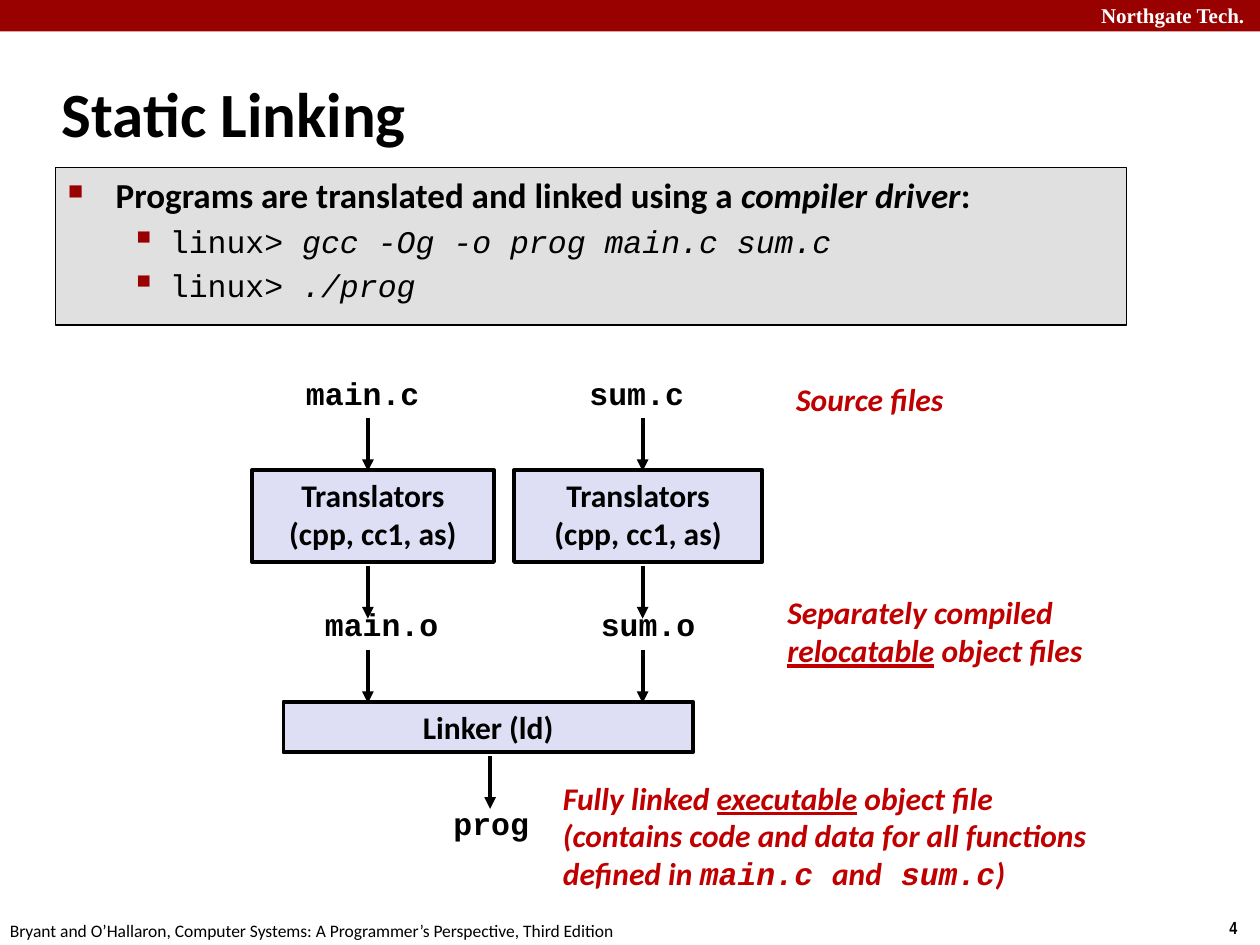
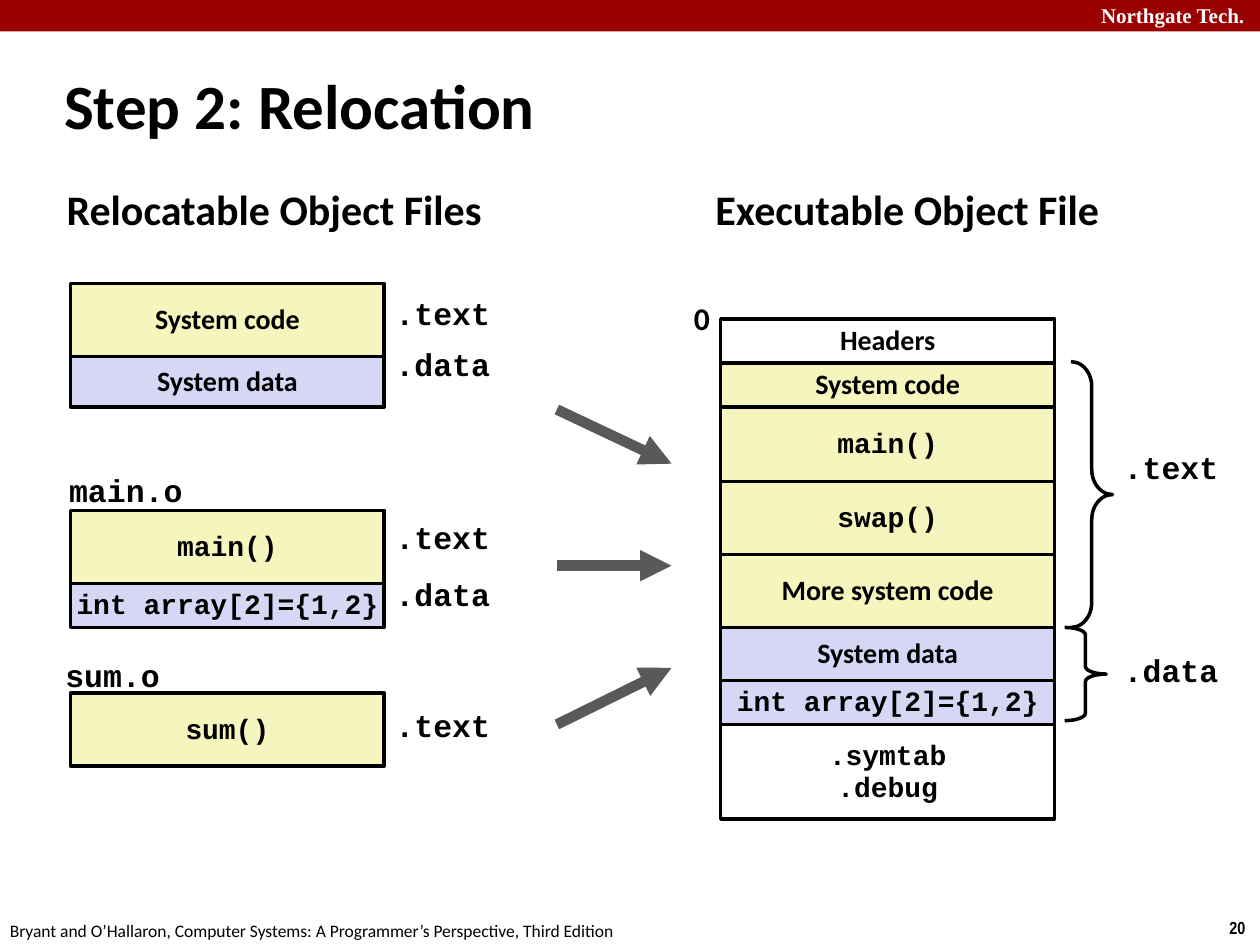
from dataclasses import dataclass, replace
from typing import NamedTuple

from lxml.etree import SubElement
from pptx import Presentation
from pptx.dml.color import RGBColor
from pptx.enum.shapes import MSO_CONNECTOR, MSO_SHAPE
from pptx.enum.text import MSO_ANCHOR, MSO_AUTO_SIZE, PP_ALIGN
from pptx.oxml.ns import qn
from pptx.util import Pt

PX = 9144


@dataclass(frozen=True)
class Theme:
    red: str = "990000"
    note: str = "C00000"
    black: str = "000000"
    white: str = "FFFFFF"
    gray: str = "E0E0E0"
    arrow: str = "595959"
    lilac: str = "DEDFF5"
    data: str = "D6D6F5"
    code: str = "F6F5BD"
    sans: str = "Calibri"
    mono: str = "Courier New"
    serif: str = "Times New Roman"
    narrow: str = "Arial Narrow"
    title: int = 36
    head: int = 24
    lead: int = 20
    label: int = 18
    cell: int = 16
    brand: int = 12
    foot: int = 10


T = Theme()


@dataclass(frozen=True)
class Look:
    font: str = T.sans
    size: int = T.label
    color: str = T.black
    bold: bool = True
    slant: bool = False
    under: bool = False
    space: float = 1.0


class Bit(NamedTuple):
    text: str
    look: Look


class Box(NamedTuple):
    x: int
    y: int
    w: int
    h: int


class Label(NamedTuple):
    text: str
    box: Box
    look: Look


class Row(NamedTuple):
    text: str
    h: int
    fill: str
    look: Look


class Stack(NamedTuple):
    x: int
    y: int
    w: int
    rows: tuple


class Arrow(NamedTuple):
    x: int
    y: int
    end: int
    low: int


class Brace(NamedTuple):
    box: Box
    bend: float


class Point(NamedTuple):
    bits: tuple
    left: int
    hang: int
    mark: str
    scale: int
    before: float


SANS = Look()
MONO = Look(font=T.mono)
NOTE = Look(color=T.note, slant=True)
LINK = replace(NOTE, under=True)
FILE = replace(NOTE, font=T.mono)
HEAD = Look(size=T.head, space=0.98)
NAME = replace(MONO, space=0.94)
CELL = Look(size=T.cell, space=0.98)
CODE = Look(font=T.mono, size=T.cell, space=0.94)
LEAD = Look(size=T.lead)
SHELL = replace(MONO, bold=False)
TYPED = replace(SHELL, slant=True)


def place(box: Box) -> list:
    return [n * PX for n in box]


def style(run, look: Look) -> None:
    font = run.font
    font.name, font.size = look.font, Pt(look.size)
    font.bold, font.italic, font.underline = look.bold, look.slant, look.under
    font.color.rgb = RGBColor.from_string(look.color)


def write(frame, text: str, look: Look, align=PP_ALIGN.LEFT) -> None:
    frame.text = text
    for para in frame.paragraphs:
        para.alignment = align
        para.line_spacing = look.space
        for run in para.runs:
            style(run, look)


def blend(para, bits: tuple) -> None:
    para.alignment = PP_ALIGN.LEFT
    for bit in bits:
        run = para.add_run()
        run.text = bit.text
        style(run, bit.look)


def paras(frame, count: int) -> list:
    return [frame.paragraphs[0]] + [frame.add_paragraph() for _ in range(count - 1)]


def blank(slide, box: Box):
    frame = slide.shapes.add_textbox(*place(box)).text_frame
    frame.word_wrap = False
    frame.auto_size = MSO_AUTO_SIZE.SHAPE_TO_FIT_TEXT
    return frame


def label(slide, item: Label) -> None:
    write(blank(slide, item.box), item.text, item.look)


def notes(slide, box: Box, lines: tuple) -> None:
    frame = blank(slide, box)
    for para, bits in zip(paras(frame, len(lines)), lines):
        blend(para, bits)


def panel(slide, box: Box, fill: str, width: float = 0):
    shape = slide.shapes.add_shape(MSO_SHAPE.RECTANGLE, *place(box))
    shape.shadow.inherit = False
    shape.fill.solid()
    shape.fill.fore_color.rgb = RGBColor.from_string(fill)
    if width:
        shape.line.color.rgb = RGBColor.from_string(T.black)
        shape.line.width = Pt(width)
    else:
        shape.line.fill.background()
    return shape


def step(slide, text: str, box: Box) -> None:
    frame = panel(slide, box, T.lilac, 2.25).text_frame
    frame.vertical_anchor = MSO_ANCHOR.TOP
    write(frame, text, SANS, PP_ALIGN.CENTER)


def stack(slide, item: Stack) -> None:
    y = item.y
    for row in item.rows:
        frame = panel(slide, Box(item.x, y, item.w, row.h), row.fill, 2).text_frame
        frame.word_wrap = False
        frame.vertical_anchor = MSO_ANCHOR.MIDDLE
        write(frame, row.text, row.look, PP_ALIGN.CENTER)
        y += row.h


def arrow(slide, item: Arrow, color: str, width: float) -> None:
    line = slide.shapes.add_connector(MSO_CONNECTOR.STRAIGHT, *[n * PX for n in item])
    line.line.color.rgb = RGBColor.from_string(color)
    line.line.width = Pt(width)
    SubElement(line.line._get_or_add_ln(), qn("a:tailEnd"), type="triangle")
    SubElement(line._element.spPr, qn("a:effectLst"))


def brace(slide, item: Brace) -> None:
    shape = slide.shapes.add_shape(MSO_SHAPE.RIGHT_BRACE, *place(item.box))
    shape.shadow.inherit = False
    shape.fill.background()
    shape.line.color.rgb = RGBColor.from_string(T.black)
    shape.line.width = Pt(2)
    shape.adjustments[0] = item.bend


def point(para, item: Point) -> None:
    blend(para, item.bits)
    para.space_before = Pt(item.before)
    props = para._p.get_or_add_pPr()
    props.set("marL", str(item.left * PX))
    props.set("indent", str(-item.hang * PX))
    SubElement(SubElement(props, qn("a:buClr")), qn("a:srgbClr"), val=T.red)
    SubElement(props, qn("a:buSzPct"), val=str(item.scale * 1000))
    SubElement(props, qn("a:buChar"), char=item.mark)


def start(deck, title: str, box: Box, number: int):
    slide = deck.slides.add_slide(deck.slide_layouts[5])
    panel(slide, Box(0, 0, 1000, 25), T.red)
    brand = Look(font=T.serif, size=T.brand, color=T.white)
    folio = Look(font=T.narrow, size=T.foot)
    credit = Look(size=T.foot, bold=False)
    book = "Bryant and O’Hallaron, Computer Systems: A Programmer’s Perspective, Third Edition"
    for item in (
        Label("Northgate Tech.", Box(864, -3, 143, 30), brand),
        Label(str(number), Box(966, 723, 34, 27), folio),
        Label(book, Box(-2, 725, 508, 27), credit),
    ):
        label(slide, item)
    head = slide.shapes.title
    head.left, head.top, head.width, head.height = place(box)
    head.text_frame.vertical_anchor = MSO_ANCHOR.MIDDLE
    write(head.text_frame, title, Look(size=T.title))
    return slide


def link(deck) -> None:
    slide = start(deck, "Static Linking", Box(39, 48, 830, 83), 4)
    frame = panel(slide, Box(44, 133, 850, 125), T.gray, 0.75).text_frame
    frame.vertical_anchor = MSO_ANCHOR.TOP
    intro = (
        Bit("Programs are translated and linked using a ", LEAD),
        Bit("compiler driver", replace(LEAD, slant=True)),
        Bit(":", LEAD),
    )
    points = [Point(intro, 38, 38, "■", 60, 4)]
    for typed in ("gcc -Og -o prog main.c sum.c", "./prog"):
        bits = (Bit("linux> ", SHELL), Bit(typed, TYPED))
        points.append(Point(bits, 81, 31, "▪", 110, 3.6))
    for para, item in zip(paras(frame, len(points)), points):
        point(para, item)

    for x, w in ((200, 192), (408, 197)):
        step(slide, "Translators\n(cpp, cc1, as)", Box(x, 373, w, 73))
    step(slide, "Linker (ld)", Box(225, 557, 325, 40))
    for x in (292, 510):
        for y in (332, 449, 516):
            arrow(slide, Arrow(x, y, x, y + 42), T.black, 2.25)
    arrow(slide, Arrow(389, 600, 389, 642), T.black, 2.25)

    for item in (
        Label("main.c", Box(233, 292, 111, 40), MONO),
        Label("main.o", Box(248, 475, 111, 40), MONO),
        Label("sum.c", Box(458, 292, 96, 40), MONO),
        Label("sum.o", Box(467, 475, 96, 40), MONO),
        Label("prog", Box(350, 633, 81, 40), MONO),
        Label("Source files", Box(622, 297, 144, 40), NOTE),
    ):
        label(slide, item)
    notes(slide, Box(615, 466, 263, 71), (
        (Bit("Separately compiled", NOTE),),
        (Bit("relocatable", LINK), Bit(" object files", NOTE)),
    ))
    notes(slide, Box(437, 613, 446, 101), (
        (Bit("Fully linked ", NOTE), Bit("executable", LINK), Bit(" object file", NOTE)),
        (Bit("(contains code and data for all functions", NOTE),),
        (Bit("defined in ", NOTE), Bit("main.c ", FILE), Bit("and", NOTE),
         Bit(" sum.c", FILE), Bit(")", NOTE)),
    ))


def move(deck) -> None:
    slide = start(deck, "Step 2: Relocation", Box(41, 51, 831, 63), 20)
    main = Row("main()", 58, T.code, CODE)
    array = Row("int array[2]={1,2}", 35, T.data, CODE)
    system = Row("System code", 58, T.code, CELL)
    data = Row("System data", 40, T.data, CELL)
    for item in (
        Stack(56, 225, 249, (system, data)),
        Stack(56, 405, 249, (main, array)),
        Stack(56, 550, 249, (Row("sum()", 58, T.code, CODE),)),
        Stack(572, 253, 265, (
            Row("Headers", 35, T.white, CELL),
            system._replace(h=35),
            main._replace(h=59),
            Row("swap()", 58, T.code, CODE),
            Row("More system code", 58, T.code, CELL),
            data._replace(h=42),
            array,
            Row(".symtab\n.debug", 75, T.white, CODE),
        )),
    ):
        stack(slide, item)

    for item in (
        Label("Relocatable Object Files", Box(43, 143, 353, 50), HEAD),
        Label("Executable Object File", Box(558, 143, 328, 50), HEAD),
        Label("main.o", Box(45, 371, 110, 39), NAME),
        Label("sum.o", Box(42, 518, 96, 39), NAME),
        Label("0", Box(541, 234, 34, 40), replace(SANS, space=0.98)),
    ):
        label(slide, item)
    for text, x, y in (
        (".text", 304, 231), (".data", 304, 271),
        (".text", 304, 409), (".data", 304, 454),
        (".text", 304, 558),
        (".text", 882, 353), (".data", 882, 514),
    ):
        label(slide, Label(text, Box(x, y, 95, 39), NAME))

    for y, low in ((325, 368), (449, 449), (575, 530)):
        arrow(slide, Arrow(442, y, 533, low), T.arrow, 6)
    brace(slide, Brace(Box(850, 287, 33, 211), 0.6))
    brace(slide, Brace(Box(845, 498, 33, 74), 0.18))


def main() -> None:
    deck = Presentation()
    deck.slide_width, deck.slide_height = 1000 * PX, 750 * PX
    link(deck)
    move(deck)
    deck.save("out.pptx")


if __name__ == "__main__":
    main()
